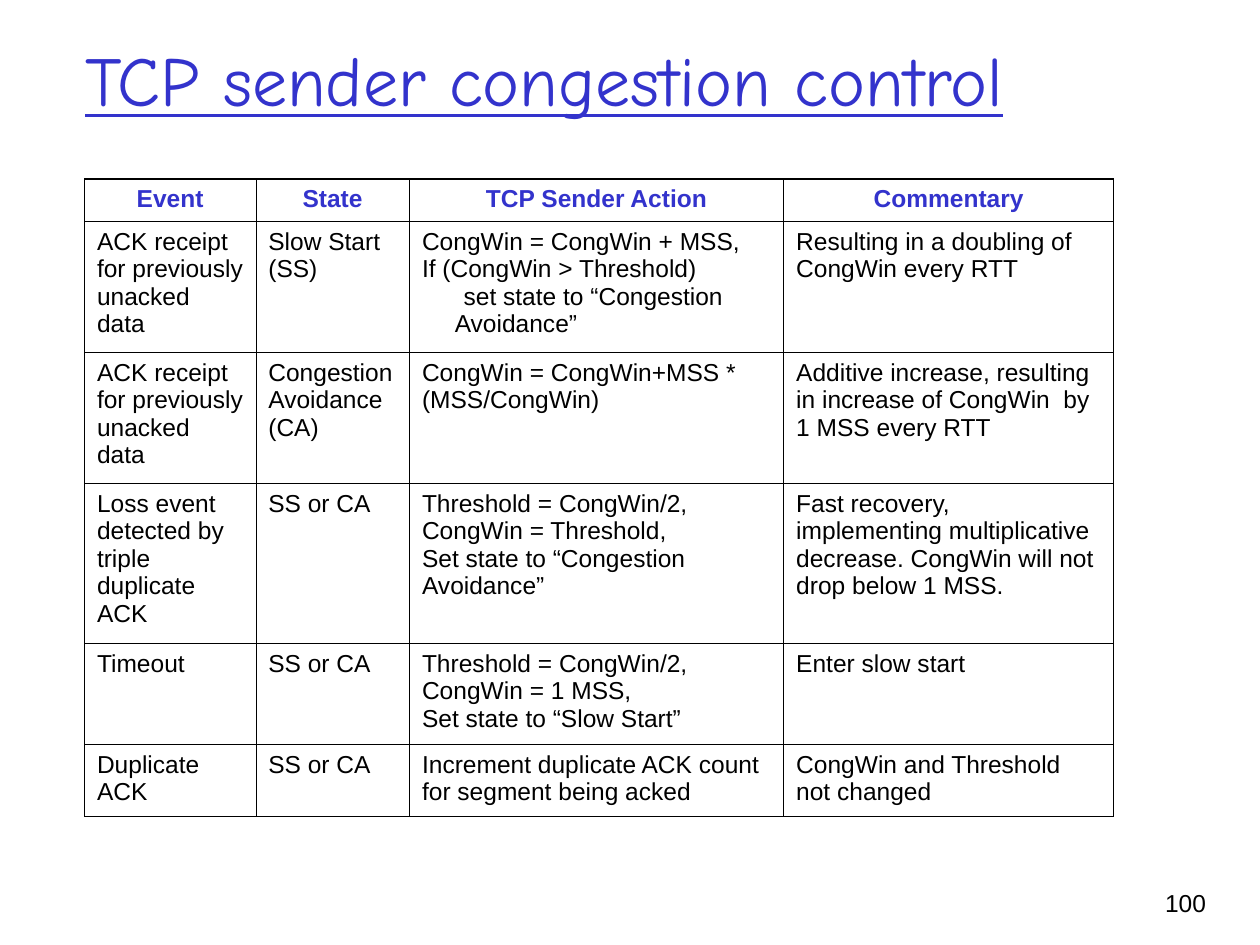
from dataclasses import dataclass

import pptx
import pptx.dml.color
import pptx.enum.text
import pptx.oxml
import pptx.oxml.ns
import pptx.util

ALIGN = pptx.enum.text.PP_ALIGN
ANCHOR = pptx.enum.text.MSO_ANCHOR
COLORS = {"accent": "3333CC", "ink": "000000"}

# The slide is a grid of 100 columns by 75 rows.
SLIDE_WIDTH = pptx.util.Inches(10)
SLIDE_HEIGHT = pptx.util.Inches(7.5)
GRID_COLUMNS, GRID_ROWS = 100, 75

TABLE_LEFT, TABLE_TOP = 6.7, 14.2
COLUMN_SPANS = (13.6, 12.2, 29.7, 26.2)
ROW_SPANS = (3.4, 10.4, 10.4, 12.7, 8, 5.7)
SIDE_RULE, INNER_RULE, OUTER_RULE = 0.34, 0.45, 0.96


@dataclass(frozen=True)
class Style:
    size: float
    color: str
    font: str = "Arial"
    bold: bool = False
    underline: bool = False
    align: ALIGN = ALIGN.LEFT


@dataclass(frozen=True)
class Label:
    text: str
    left: float
    top: float
    width: float
    height: float
    style: Style
    anchor: ANCHOR = ANCHOR.TOP


@dataclass(frozen=True)
class Rule:
    """One table row: what happens, in which state, and the response."""
    event: str
    state: str
    action: str
    commentary: str

    def cells(self) -> tuple[str, ...]:
        return self.event, self.state, self.action, self.commentary


HEADING = Style(14, "accent", bold=True, align=ALIGN.CENTER)
BODY = Style(14, "ink")

LABELS = (
    Label("TCP sender congestion control", 5.8, 0, 85, 12.5,
          Style(40, "accent", font="Comic Neue", underline=True), ANCHOR.MIDDLE),
    Label("100", 89.3, 70, 7.4, 5, Style(14, "ink", align=ALIGN.RIGHT)),
)

NESTED_STEP = "set state to “Congestion Avoidance”"
RULES = (
    Rule("Event", "State", "TCP Sender Action", "Commentary"),
    Rule("ACK receipt for previously unacked data", "Slow Start (SS)",
         f"CongWin = CongWin + MSS,\nIf (CongWin > Threshold)\n{NESTED_STEP}",
         "Resulting in a doubling of CongWin every RTT"),
    Rule("ACK receipt for previously unacked data", "Congestion\nAvoidance (CA)",
         "CongWin = CongWin+MSS * (MSS/CongWin)",
         "Additive increase, resulting in increase of CongWin  by 1 MSS every RTT"),
    Rule("Loss event detected by triple duplicate ACK", "SS or CA",
         "Threshold = CongWin/2,\nCongWin = Threshold,\n"
         "Set state to “Congestion Avoidance”",
         "Fast recovery, implementing multiplicative decrease. "
         "CongWin will not drop below 1 MSS."),
    Rule("Timeout", "SS or CA",
         "Threshold = CongWin/2,\nCongWin = 1 MSS,\nSet state to “Slow Start”",
         "Enter slow start"),
    Rule("Duplicate ACK", "SS or CA",
         "Increment duplicate ACK count for segment being acked",
         "CongWin and Threshold not changed"),
)


def across(columns: float) -> int:
    return round(SLIDE_WIDTH * columns / GRID_COLUMNS)


def down(rows: float) -> int:
    return round(SLIDE_HEIGHT * rows / GRID_ROWS)


def write(frame, text: str, style: Style) -> None:
    frame.text = text
    for paragraph in frame.paragraphs:
        paragraph.alignment = style.align
        for run in paragraph.runs:
            run.font.name = style.font
            run.font.size = pptx.util.Pt(style.size)
            run.font.bold = style.bold
            run.font.underline = style.underline
            run.font.color.rgb = pptx.dml.color.RGBColor.from_string(COLORS[style.color])


def draw_label(slide, label: Label) -> None:
    box = slide.shapes.add_textbox(across(label.left), down(label.top),
                                   across(label.width), down(label.height))
    frame = box.text_frame
    frame.word_wrap = True
    frame.vertical_anchor = label.anchor
    write(frame, label.text, label.style)


def set_borders(cell, top: float, bottom: float) -> None:
    sides = {"lnL": SIDE_RULE, "lnR": SIDE_RULE, "lnT": top, "lnB": bottom}
    for side, points in sides.items():
        cell._tc.get_or_add_tcPr().append(pptx.oxml.parse_xml(
            f'<a:{side} {pptx.oxml.ns.nsdecls("a")} w="{pptx.util.Pt(points)}">'
            f'<a:solidFill><a:srgbClr val="{COLORS["ink"]}"/></a:solidFill></a:{side}>'))


def indent_nested_step(frame) -> None:
    for paragraph in frame.paragraphs:
        if paragraph.text == NESTED_STEP:
            properties = paragraph._p.get_or_add_pPr()
            properties.set("marL", str(across(2.6)))
            properties.set("indent", str(across(0.7)))


def draw_rules(slide, rules: tuple[Rule, ...]) -> None:
    table = slide.shapes.add_table(
        len(rules), len(COLUMN_SPANS), across(TABLE_LEFT), down(TABLE_TOP),
        across(sum(COLUMN_SPANS)), down(sum(ROW_SPANS))).table
    table.first_row = table.horz_banding = False
    for column, span in zip(table.columns, COLUMN_SPANS):
        column.width = across(span)
    last = len(rules) - 1
    for index, (row, span, rule) in enumerate(zip(table.rows, ROW_SPANS, rules)):
        row.height = down(span)
        for cell, text in zip(row.cells, rule.cells()):
            write(cell.text_frame, text, BODY if index else HEADING)
            indent_nested_step(cell.text_frame)
            set_borders(cell, INNER_RULE if index else OUTER_RULE,
                        OUTER_RULE if index == last else INNER_RULE)
            cell.fill.background()


def main() -> None:
    deck = pptx.Presentation()
    deck.slide_width, deck.slide_height = SLIDE_WIDTH, SLIDE_HEIGHT
    slide = deck.slides.add_slide(deck.slide_layouts[6])
    for label in LABELS:
        draw_label(slide, label)
    draw_rules(slide, RULES)
    deck.save("out.pptx")


if __name__ == "__main__":
    main()
